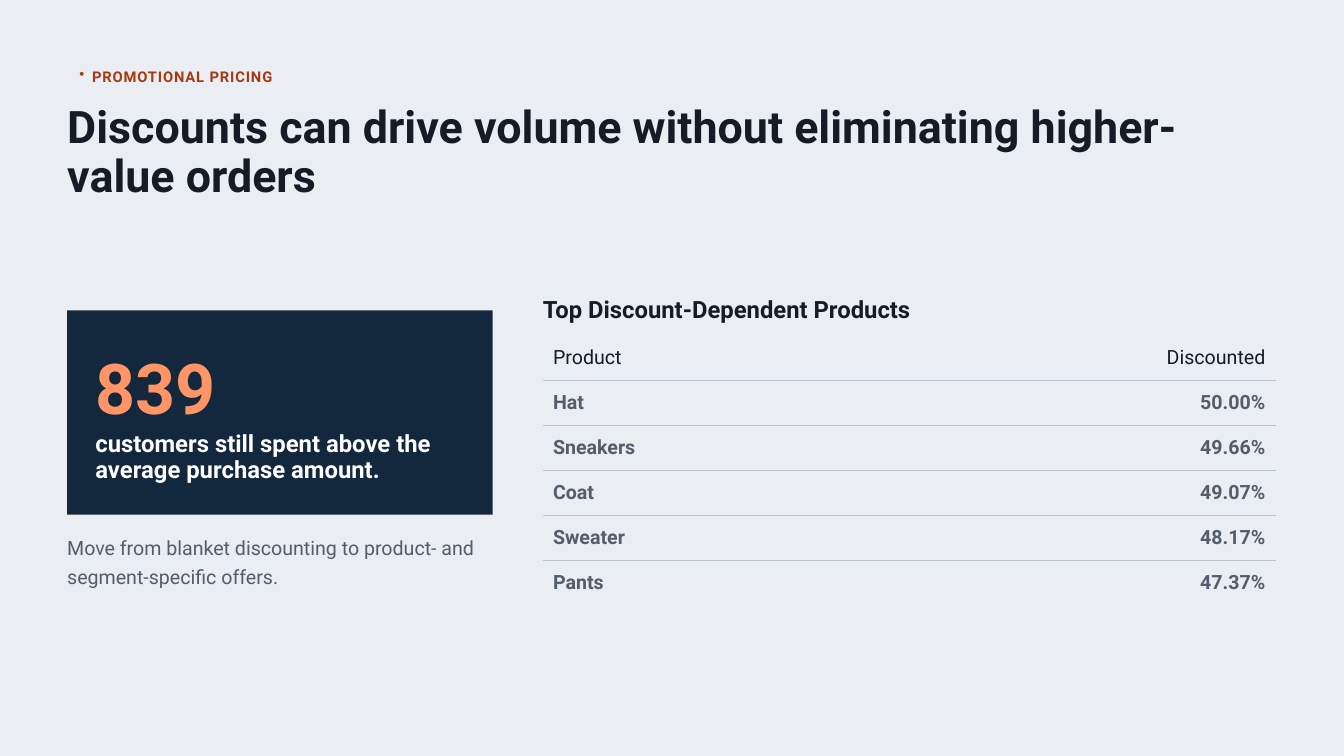
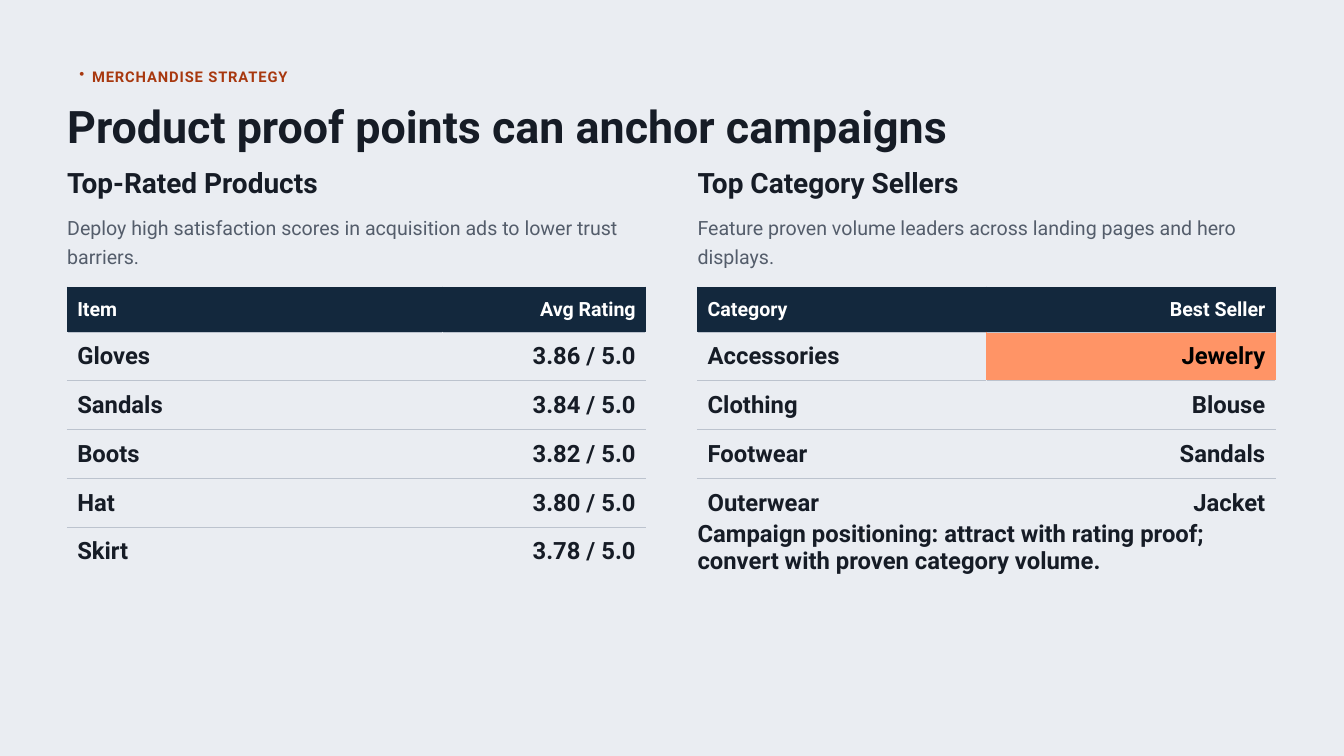
from lxml.etree import SubElement
from pptx import Presentation
from pptx.dml.color import RGBColor as RGB
from pptx.enum.shapes import MSO_SHAPE as SHAPE
from pptx.enum.text import MSO_ANCHOR as ANCHOR, MSO_AUTO_SIZE as FIT, PP_ALIGN as ALIGN
from pptx.oxml.ns import qn
from pptx.util import Inches, Pt

COLORS = {
    "ground": "EAEDF2", "ink": "161C26", "muted": "545D6B", "navy": "13283D",
    "coral": "FF9466", "rust": "A8380F", "rule": "BCC3CE", "white": "FFFFFF",
    "black": "000000",
}
STYLES = {
    "kicker": dict(size=15.8, leading=23.6, color="rust", spacing=0.9, bullet="•"),
    "title": dict(size=48, leading=53),
    "heading": dict(size=30, leading=33.1),
    "statement": dict(size=25.5, leading=28.2),
    "panel": dict(size=25.5, leading=28.2, color="white"),
    "figure": dict(size=75, leading=74.8, color="coral"),
    "body": dict(size=21, leading=31.5, color="muted", bold=False),
    "plain header": dict(size=21, leading=25.2, bold=False),
    "plain row": dict(size=21, leading=25.2, color="muted"),
    "navy header": dict(size=21, leading=25.2, color="white"),
    "large row": dict(size=25.5, leading=30.6),
}
LEFT = 1
RIGHT_COLUMN = 10.38
COLUMN_WIDTH = 8.63


def write(frame, text, size, leading, color="ink", bold=True, align=ALIGN.LEFT,
          spacing=0, bullet=None, inset=0, anchor=ANCHOR.TOP):
    """Fill a text frame or table cell with one formatted paragraph."""
    frame.margin_left = frame.margin_right = Inches(inset)
    frame.margin_top = frame.margin_bottom = Inches(inset)
    frame.vertical_anchor = anchor
    paragraph = getattr(frame, "text_frame", frame).paragraphs[0]
    if bullet:
        paragraph.level = 1
        properties = paragraph._p.get_or_add_pPr()
        properties.set("marL", str(Inches(0.37)))
        properties.set("indent", str(Inches(-0.19)))
        SubElement(properties, qn("a:buChar")).set("char", bullet)
    paragraph.alignment = align
    paragraph.line_spacing = Pt(leading)
    run = paragraph.add_run()
    run.text = text
    run.font.name = "Roboto"
    run.font.size = Pt(size)
    run.font.bold = bold
    run.font.color.rgb = RGB.from_string(COLORS[color])
    if spacing:
        run._r.get_or_add_rPr().set("spc", str(round(spacing * 100)))


def add_ruled_table(slide, left, top, widths, row_height, rows, header_style,
                    row_style, header_fill=None, highlight=None):
    """Add a two-column table with thin rules between its rows."""
    header_height, last = 0.67, len(rows) - 1
    table = slide.shapes.add_table(
        len(rows), 2, Inches(left), Inches(top), Inches(sum(widths)),
        Inches(header_height + row_height * last)).table
    table.horz_banding = False
    for column, width in zip(table.columns, widths):
        column.width = Inches(width)
    for r, row in enumerate(rows):
        table.rows[r].height = Inches(row_height if r else header_height)
        for c, text in enumerate(row):
            cell = table.cell(r, c)
            style = dict(STYLES[row_style if r else header_style])
            fill = None if r else header_fill
            if text == highlight:
                fill, style["color"] = "coral", "black"
            edge = fill or "ground"
            borders = {"lnL": edge, "lnR": edge, "lnT": "rule" if r else edge,
                       "lnB": "ground" if r == last else "rule"}
            cell_properties = cell._tc.get_or_add_tcPr()
            for side, color in borders.items():
                line = SubElement(cell_properties, qn(f"a:{side}"), w=str(Pt(1)))
                solid = SubElement(line, qn("a:solidFill"))
                SubElement(solid, qn("a:srgbClr"), val=COLORS[color])
            if fill:
                cell.fill.solid()
                cell.fill.fore_color.rgb = RGB.from_string(COLORS[fill])
            else:
                cell.fill.background()
            write(cell, text, align=ALIGN.RIGHT if c else ALIGN.LEFT,
                  inset=0.15, anchor=ANCHOR.MIDDLE, **style)


deck = Presentation()
deck.slide_width, deck.slide_height = Inches(20), Inches(11.25)
ground = deck.slide_master.background.fill
ground.solid()
ground.fore_color.rgb = RGB.from_string(COLORS["ground"])

# Slides with their titles
headlines = [
    ("Discounts can drive volume without eliminating higher-value orders", 1.45),
    ("Product proof points can anchor campaigns", 0.71),
]
for headline, height in headlines:
    title = deck.slides.add_slide(deck.slide_layouts[5]).shapes.title
    title.left, title.top = Inches(LEFT), Inches(1.53)
    title.width, title.height = Inches(18.01), Inches(height)
    title.text_frame.auto_size = FIT.NONE
    write(title.text_frame, headline, **STYLES["title"])
pricing, merchandise = deck.slides

# Panel behind the key figure
panel = pricing.shapes.add_shape(
    SHAPE.RECTANGLE, Inches(LEFT), Inches(4.62), Inches(6.33), Inches(3.04))
panel.shadow.inherit = False
panel.fill.solid()
panel.fill.fore_color.rgb = RGB.from_string(COLORS["navy"])
panel.line.fill.background()

# Tables
add_ruled_table(
    pricing, 8.08, 4.99, (5.99, 4.91), 0.67,
    [("Product", "Discounted"), ("Hat", "50.00%"), ("Sneakers", "49.66%"),
     ("Coat", "49.07%"), ("Sweater", "48.17%"), ("Pants", "47.37%")],
    "plain header", "plain row")
add_ruled_table(
    merchandise, LEFT, 4.27, (5.58, 3.03), 0.62,
    [("Item", "Avg Rating"), ("Gloves", "3.86 / 5.0"), ("Sandals", "3.84 / 5.0"),
     ("Boots", "3.82 / 5.0"), ("Hat", "3.80 / 5.0"), ("Skirt", "3.78 / 5.0")],
    "navy header", "large row", header_fill="navy")
add_ruled_table(
    merchandise, RIGHT_COLUMN, 4.27, (4.3, 4.3), 0.62,
    [("Category", "Best Seller"), ("Accessories", "Jewelry"), ("Clothing", "Blouse"),
     ("Footwear", "Sandals"), ("Outerwear", "Jacket")],
    "navy header", "large row", header_fill="navy", highlight="Jewelry")

# Text: slide, style, left, top, width, height, wording
passages = [
    (pricing, "kicker", LEFT, 0.94, 19, 0.32, "PROMOTIONAL PRICING"),
    (pricing, "figure", 1.42, 5.34, 5.5, 0.93, "839"),
    (pricing, "panel", 1.42, 6.41, 5.5, 0.77,
     "customers still spent above the average purchase amount."),
    (pricing, "body", LEFT, 7.88, 6.33, 0.95,
     "Move from blanket discounting to product- and segment-specific offers."),
    (pricing, "statement", 8.08, 4.42, 10.93, 0.38, "Top Discount-Dependent Products"),
    (merchandise, "kicker", LEFT, 0.94, 19, 0.32, "MERCHANDISE STRATEGY"),
    (merchandise, "heading", LEFT, 2.5, COLUMN_WIDTH, 0.45, "Top-Rated Products"),
    (merchandise, "body", LEFT, 3.12, COLUMN_WIDTH, 0.95,
     "Deploy high satisfaction scores in acquisition ads to lower trust barriers."),
    (merchandise, "heading", RIGHT_COLUMN, 2.5, COLUMN_WIDTH, 0.45,
     "Top Category Sellers"),
    (merchandise, "body", RIGHT_COLUMN, 3.12, COLUMN_WIDTH, 0.95,
     "Feature proven volume leaders across landing pages and hero displays."),
    (merchandise, "statement", RIGHT_COLUMN, 7.76, COLUMN_WIDTH, 0.77,
     "Campaign positioning: attract with rating proof; "
     "convert with proven category volume."),
]
for slide, style, left, top, width, height, wording in passages:
    frame = slide.shapes.add_textbox(
        Inches(left), Inches(top), Inches(width), Inches(height)).text_frame
    frame.word_wrap = True
    frame.auto_size = FIT.SHAPE_TO_FIT_TEXT
    write(frame, wording, **STYLES[style])

deck.save("out.pptx")
